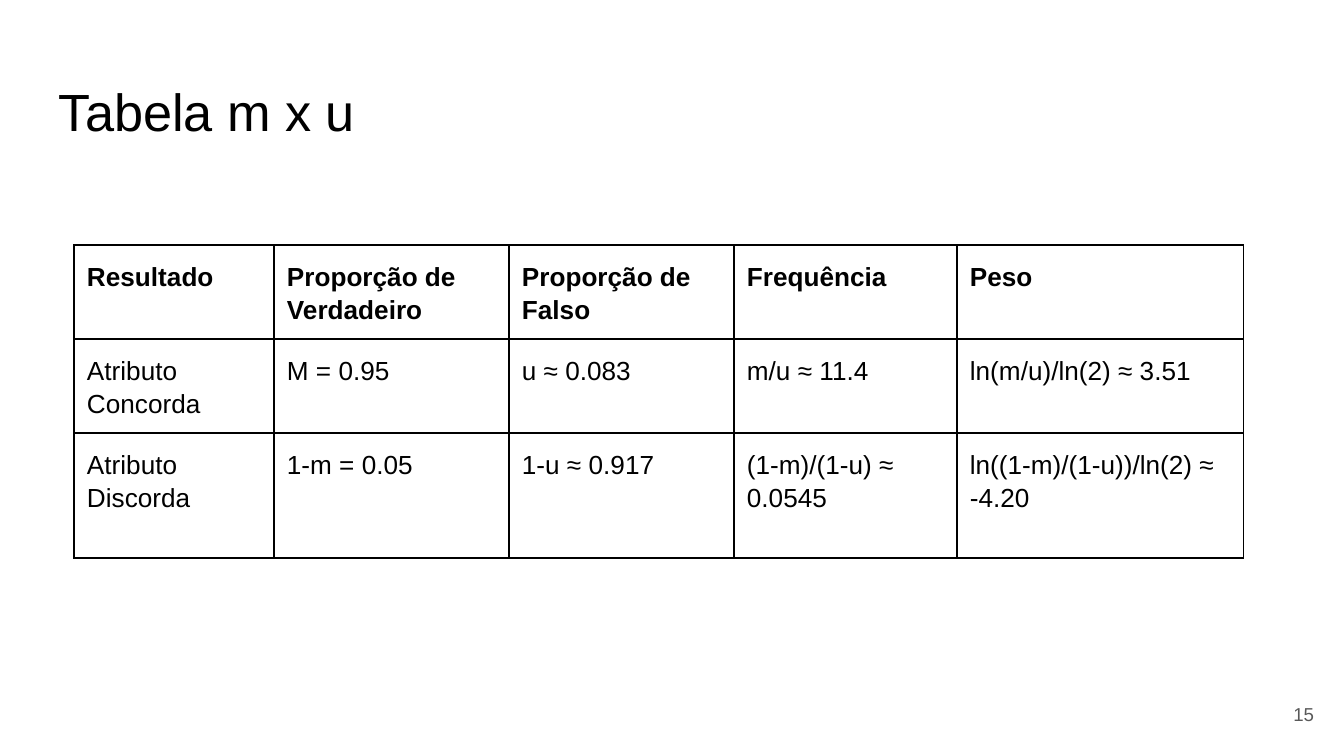
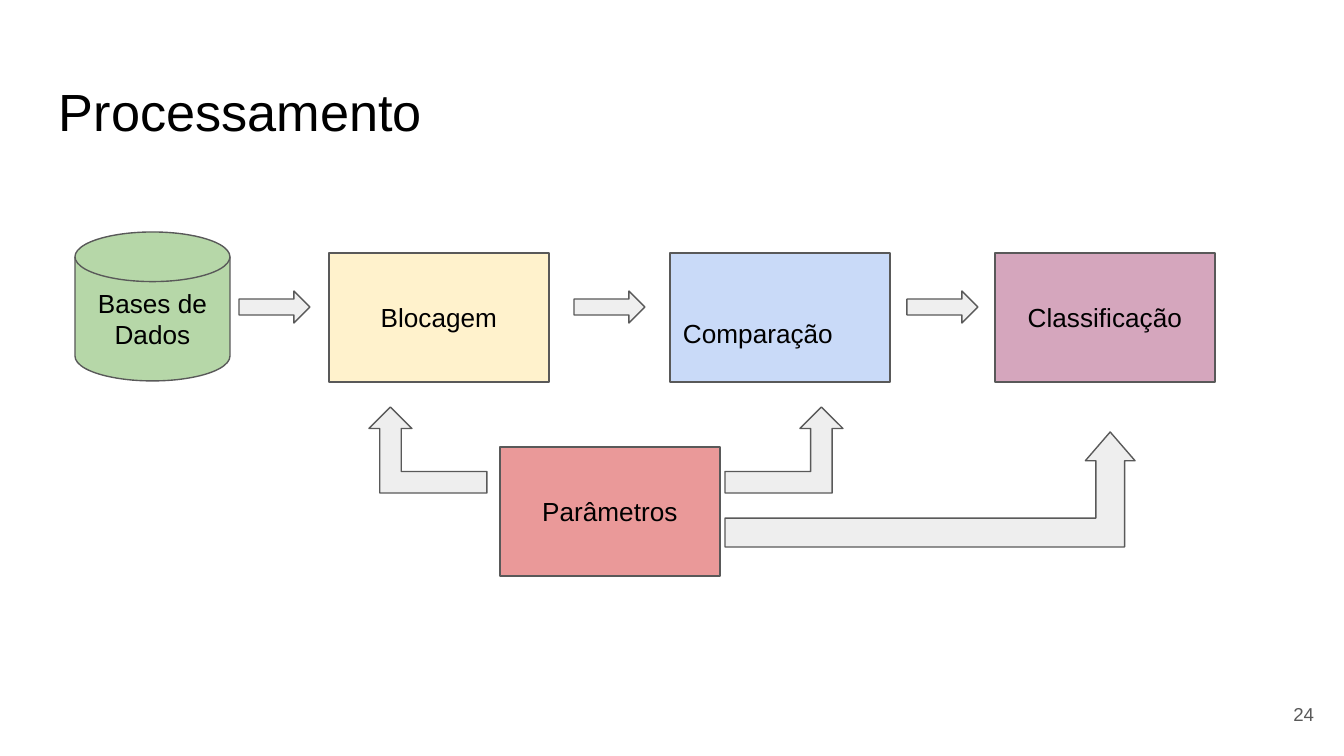
from lxml.etree import SubElement
from pptx import Presentation
from pptx.dml.color import RGBColor
from pptx.enum.shapes import MSO_SHAPE
from pptx.enum.text import MSO_ANCHOR, MSO_AUTO_SIZE, PP_ALIGN
from pptx.oxml.ns import qn
from pptx.util import Emu, Pt

# Shared scale, page and look
EMU_PER_PX = 914400 / 134.4
PAGE_SIZE = (1344, 756)
TITLE_BOX = (46, 66, 1252, 85)
NUMBER_BOX = (1246, 685, 81, 58)
FONT = "Arial"
BLACK, GREY, ARROW_FILL = "000000", "595959", "EFEFEF"
BENT_FILL = "EEEEEE"
LINE_WIDTH = Pt(0.75)
INSET = 13

TABLE_BOX = (74, 245, 1170, 313)
COLUMN_WIDTHS = (200, 235, 225, 223, 287)
ROW_HEIGHTS = (94, 94, 125)
TABLE_ROWS = (
    ("Resultado", "Proporção de Verdadeiro", "Proporção de Falso", "Frequência", "Peso"),
    ("Atributo Concorda", "M = 0.95", "u ≈ 0.083", "m/u ≈ 11.4", "ln(m/u)/ln(2) ≈ 3.51"),
    ("Atributo Discorda", "1-m = 0.05", "1-u ≈ 0.917", "(1-m)/(1-u) ≈ 0.0545",
     "ln((1-m)/(1-u))/ln(2) ≈ -4.20"),
)

FLOW_BOX = (75, 232, 1140, 343)
STEP_SIZE = (220, 129)


def px(length):
    return Emu(round(length * EMU_PER_PX))


def color(value):
    return RGBColor.from_string(value)


def set_all(target, values):
    for name, value in values.items():
        setattr(target, name, value)


def write(frame, text, size=14, ink=BLACK, align=PP_ALIGN.LEFT, bold=False,
          spacing=1.0, anchor=MSO_ANCHOR.TOP, top_inset=INSET):
    set_all(frame, {"word_wrap": True, "auto_size": MSO_AUTO_SIZE.NONE,
                    "vertical_anchor": anchor, "margin_top": px(top_inset),
                    "margin_left": px(INSET), "margin_right": px(INSET),
                    "margin_bottom": px(INSET)})
    write_para(frame.paragraphs[0], text, size, ink, align, bold, spacing)


def write_para(para, text, size, ink, align, bold, spacing):
    set_all(para, {"alignment": align, "line_spacing": spacing})
    span = para.add_run()
    span.text = text
    set_all(span.font, {"name": FONT, "size": Pt(size), "bold": bold})
    span.font.color.rgb = color(ink)


def add_page(deck, title, number):
    page = deck.slides.add_slide(deck.slide_layouts[5])
    left, top, width, height = map(px, TITLE_BOX)
    set_all(page.shapes.title, {"left": left, "top": top, "width": width, "height": height})
    write(page.shapes.title.text_frame, title, size=28)
    box = page.shapes.add_textbox(*map(px, NUMBER_BOX))
    write(box.text_frame, number, size=10, ink=GREY, align=PP_ALIGN.RIGHT,
          anchor=MSO_ANCHOR.MIDDLE)
    return page


def add_part(page, kind, box, fill, adjustments=()):
    shape = page.shapes.add_shape(kind, *map(px, box))
    shape.shadow.inherit = False
    shape.fill.solid()
    shape.fill.fore_color.rgb = color(fill)
    shape.line.color.rgb = color(GREY)
    shape.line.width = LINE_WIDTH
    for index, value in enumerate(adjustments):
        shape.adjustments[index] = value
    return shape


def add_borders(cell):
    properties = cell._tc.get_or_add_tcPr()
    for side in ("lnL", "lnR", "lnT", "lnB"):
        line = SubElement(properties, qn(f"a:{side}"), w=str(LINE_WIDTH))
        fill = SubElement(line, qn("a:solidFill"))
        SubElement(fill, qn("a:srgbClr"), val=BLACK)


def add_weights_table(page, box):
    frame = page.shapes.add_table(len(ROW_HEIGHTS), len(COLUMN_WIDTHS), *map(px, box))
    table = frame.table
    set_all(table, {"first_row": False, "horz_banding": False})
    for column, width in zip(table.columns, COLUMN_WIDTHS):
        column.width = px(width)
    for row_index, (row, height, texts) in enumerate(zip(table.rows, ROW_HEIGHTS, TABLE_ROWS)):
        row.height = px(height)
        for cell, text in zip(row.cells, texts):
            add_borders(cell)
            cell.fill.background()
            set_all(cell, {f"margin_{side}": px(INSET)
                           for side in ("left", "right", "top", "bottom")})
            write_para(cell.text_frame.paragraphs[0], text, 14, BLACK, PP_ALIGN.LEFT,
                       row_index == 0, 1.15)


def add_flow(page, box):
    left, top = box[:2]
    centred = {"align": PP_ALIGN.CENTER, "anchor": MSO_ANCHOR.MIDDLE}

    # Data source
    disk = add_part(page, MSO_SHAPE.FLOWCHART_MAGNETIC_DISK, (left, top, 155, 149), "B6D7A8")
    write(disk.text_frame, "Bases de Dados", **centred)

    # Arrows between the steps
    for x in (164, 499, 832):
        add_part(page, MSO_SHAPE.RIGHT_ARROW, (left + x, top + 59, 71, 32), ARROW_FILL)

    # Steps, with their parameters below; the comparison text sits low and left
    low_left = {"align": PP_ALIGN.LEFT, "top_inset": INSET + 32}
    for text, x, y, fill, changes in (
        ("Blocagem", 254, 21, "FFF2CC", {}),
        ("Comparação", 595, 21, "C9DAF8", low_left),
        ("Classificação", 920, 21, "D5A6BD", {}),
        ("Parâmetros", 425, 215, "EA9999", {}),
    ):
        step = add_part(page, MSO_SHAPE.RECTANGLE, (left + x, top + y, *STEP_SIZE), fill)
        write(step.text_frame, text, **{**centred, **changes})

    # Bent arrows from the parameters to each step
    for x, y, width, height, head, flipped in (
        (650, 175, 118, 86, 0.25, False),
        (294, 175, 118, 86, 0.25, True),
        (650, 200, 410, 115, 0.216, False),
    ):
        arrow = add_part(page, MSO_SHAPE.BENT_UP_ARROW, (left + x, top + y, width, height),
                         BENT_FILL, (0.25, head, 0.25))
        if flipped:
            arrow._element.spPr.find(qn("a:xfrm")).set("flipH", "1")


def main():
    deck = Presentation()
    deck.slide_width, deck.slide_height = map(px, PAGE_SIZE)
    add_weights_table(add_page(deck, "Tabela m x u", "15"), TABLE_BOX)
    add_flow(add_page(deck, "Processamento", "24"), FLOW_BOX)
    deck.save("out.pptx")


if __name__ == "__main__":
    main()
